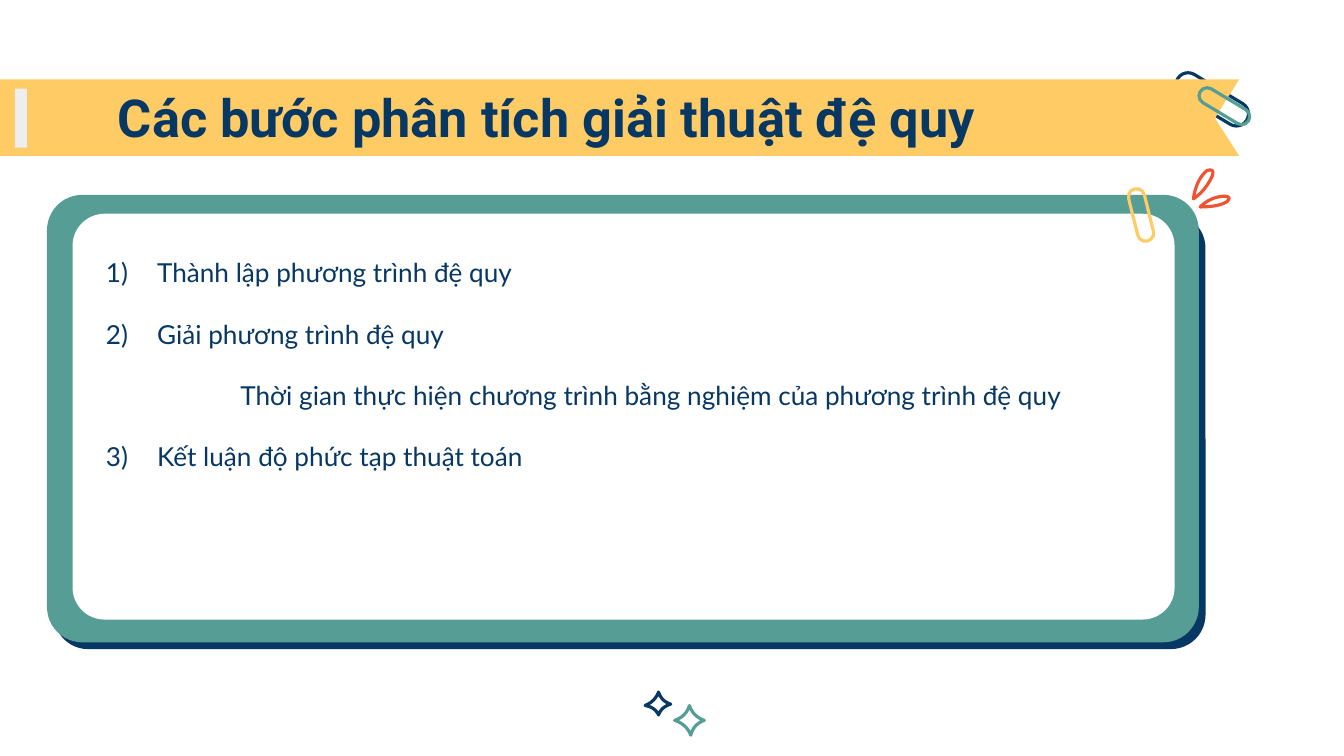
from pptx import Presentation
from pptx.dml.color import RGBColor
from pptx.enum.shapes import MSO_SHAPE as Kind
from pptx.enum.text import MSO_ANCHOR as Anchor
from pptx.oxml.ns import qn
from pptx.util import Inches, Pt
from lxml import etree

NAVY, TEAL, GOLD, RED = "073763", "569D96", "FFCB65", "F15232"

deck = Presentation()
deck.slide_width = Inches(10)
deck.slide_height = Inches(10) * 9 // 16
slide = deck.slides.add_slide(deck.slide_layouts[6])
shapes = slide.shapes


def paint(shape, fill=None, line=None, width=1.7):
    """Set fill and line from hex strings; None means no paint."""
    shape.shadow.inherit = False
    if fill:
        shape.fill.solid()
        shape.fill.fore_color.rgb = RGBColor.from_string(fill)
    else:
        shape.fill.background()
    if line:
        shape.line.color.rgb = RGBColor.from_string(line)
        shape.line.width = Pt(width)
    else:
        shape.line.fill.background()


def outline(start, curves, steps=10):
    """Closed shape made of curves, each a (control, end) pair in inches."""
    points, (x, y) = [], start
    for (cx, cy), (ex, ey) in curves:
        for i in range(1, steps + 1):
            t = i / steps
            a, b, c = (1 - t) ** 2, 2 * t * (1 - t), t * t
            points.append((Inches(a * x + b * cx + c * ex),
                           Inches(a * y + b * cy + c * ey)))
        x, y = ex, ey
    pen = shapes.build_freeform(*map(Inches, start))
    pen.add_line_segments(points, close=True)
    return pen.convert_to_shape()


# Paper clips (middle, length, width, turn, colour)
clips = [
    (9.02, 0.74, 0.6, 0.18, 31, NAVY),
    (9.11, 0.79, 0.42, 0.12, 31, TEAL),
    (8.49, 1.6, 0.4, 0.12, 76, GOLD),
]
# Panel layers: navy edge, teal frame, white sheet
panels = [
    (0.4, 1.59, 8.57, 3.24, NAVY),
    (0.35, 1.45, 8.57, 3.33, TEAL),
    (0.54, 1.59, 8.2, 3.02, "FFFFFF"),
]
flag = [(0, 1.16), (9.22, 1.16), (9.04, 0.88), (9.22, 0.59)]
for n, (x, y, long, wide, turn, hue) in enumerate(clips):
    if n == 1:
        # Banner and its grey bar cover the first clip
        paint(outline((0, 0.59), [(tip, tip) for tip in flag], 1), GOLD)
        bar = shapes.add_shape(
            Kind.RECTANGLE, Inches(0.11), Inches(0.66), Inches(0.09), Inches(0.44))
        paint(bar, "EEEEEE")
    if n == 2:
        # Panel lies under the last clip
        for *box, tint in panels:
            panel = shapes.add_shape(Kind.ROUNDED_RECTANGLE, *map(Inches, box))
            panel.adjustments[0] = 0.079
            paint(panel, tint)
    box = (x - long / 2, y - wide / 2, long, wide)
    clip = shapes.add_shape(Kind.ROUNDED_RECTANGLE, *map(Inches, box))
    clip.adjustments[0] = 0.5
    clip.rotation = turn
    paint(clip, line=hue)

# Four-point stars: each side bends toward the middle
stars = [
    ((5.13, 5.25), (5.24, 5.36), (5.14, 5.47), (5.02, 5.36), TEAL),
    ((4.9, 5.15), (4.99, 5.24), (4.9, 5.32), (4.8, 5.25), NAVY),
]
for *tips, hue in stars:
    mx, my = (sum(axis) / 4 for axis in zip(*tips))
    sides = []
    for (ax, ay), (bx, by) in zip(tips, tips[1:] + tips[:1]):
        bend = ((ax + bx) / 4 + mx / 2, (ay + by) / 4 + my / 2)
        sides.append((bend, (bx, by)))
    paint(outline(tips[0], sides), line=hue)

# Red petals
petals = [
    ((8.88, 1.48), [((8.9, 1.34), (8.98, 1.27)), ((9.04, 1.25), (9.02, 1.31)),
                    ((8.97, 1.42), (8.88, 1.48))]),
    ((8.93, 1.54), [((9, 1.47), (9.1, 1.46)), ((9.17, 1.46), (9.13, 1.5)),
                    ((9.07, 1.54), (8.93, 1.54))]),
]
for start, curves in petals:
    paint(outline(start, curves), line=RED)

# Title and steps: (text, left indent, first-line indent, numbered)
steps = [
    ("Thành lập phương trình đệ quy", 0.38, -0.38, True),
    ("Giải phương trình đệ quy", 0.38, -0.38, True),
    ("Thời gian thực hiện chương trình bằng nghiệm của phương trình đệ quy",
     1, 0, False),
    ("3)\tKết luận độ phức tạp thuật toán", 0.38, -0.38, False),
]
title = [("Các bước phân tích giải thuật đệ quy", 0, 0, False)]
head = {"name": "Roboto", "size": Pt(28), "bold": True}
body = {"name": "Lato", "size": Pt(14)}
blocks = [
    ((0.78, 0.61, 8.44, 0.52), Anchor.MIDDLE, head, 0, title),
    ((0.69, 1.81, 7.81, 2.58), Anchor.TOP, body, 16, steps),
]
for box, anchor, style, gap, lines in blocks:
    frame = shapes.add_textbox(*map(Inches, box)).text_frame
    form = {"word_wrap": True, "vertical_anchor": anchor}
    form |= {f"margin_{side}": Inches(0.1) for side in ("left", "top", "right", "bottom")}
    for key, value in form.items():
        setattr(frame, key, value)
    for n, (text, left, first, count) in enumerate(lines):
        para = frame.add_paragraph() if n else frame.paragraphs[0]
        para.space_after = Pt(gap)
        run = para.add_run()
        run.text = text
        for key, value in style.items():
            setattr(run.font, key, value)
        run.font.color.rgb = RGBColor.from_string(NAVY)
        props = para._p.get_or_add_pPr()
        props.set("marL", str(Inches(left)))
        props.set("indent", str(Inches(first)))
        if count:
            etree.SubElement(props, qn("a:buAutoNum"), type="arabicParenR")

deck.save("out.pptx")
